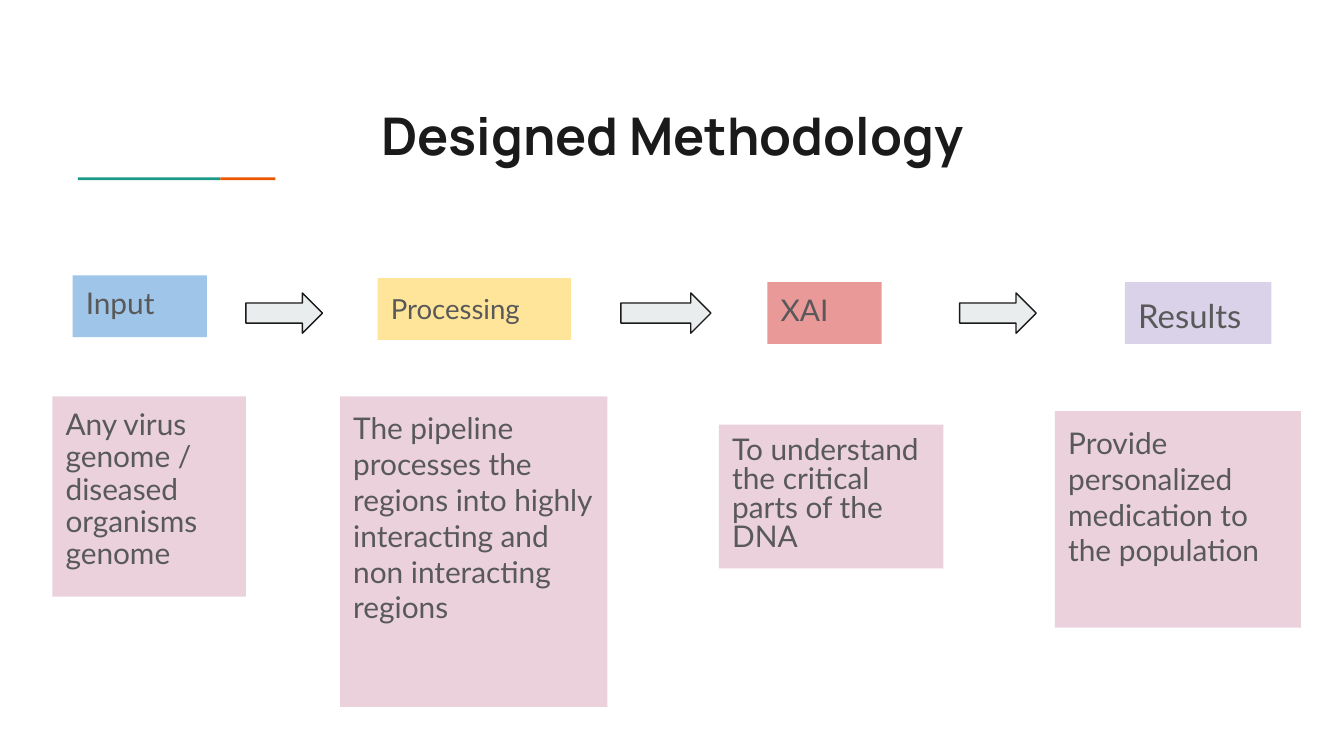
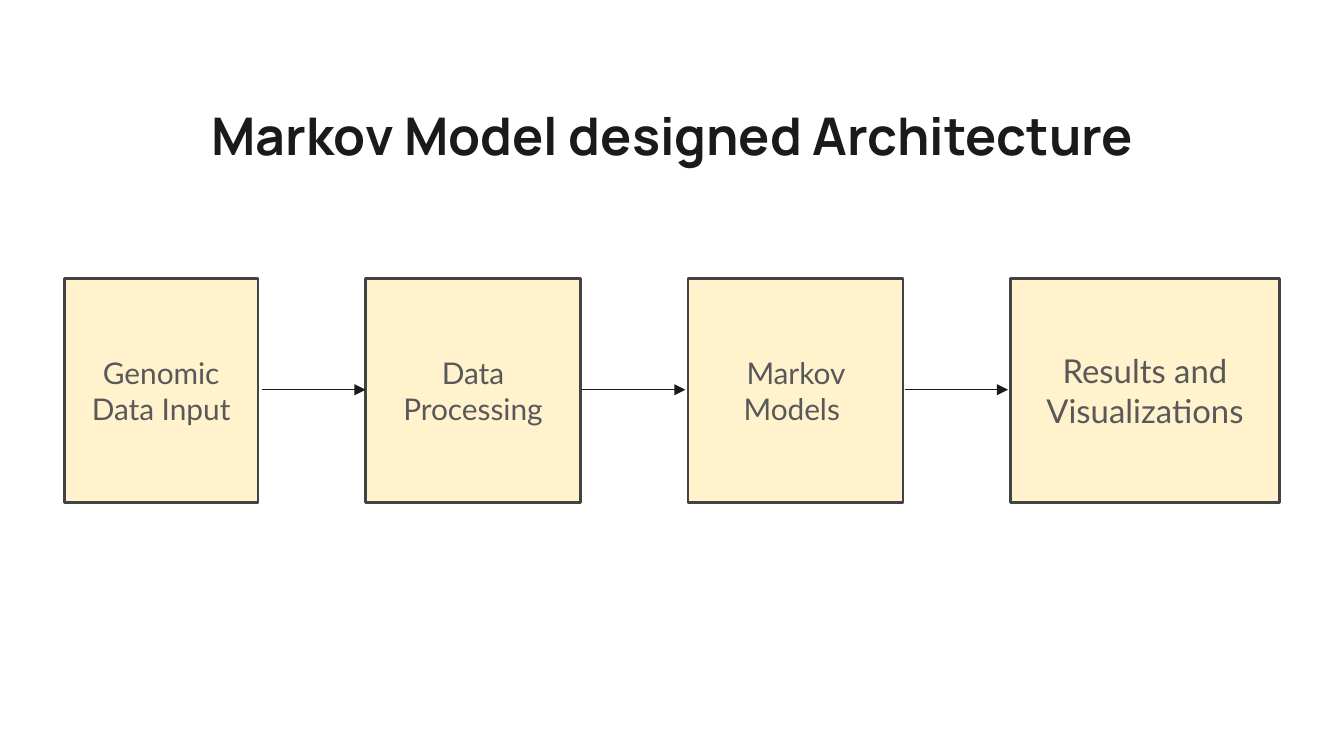
from lxml import etree
from pptx import Presentation
from pptx.dml.color import RGBColor
from pptx.enum.shapes import MSO_CONNECTOR, MSO_SHAPE
from pptx.enum.text import MSO_ANCHOR, MSO_AUTO_SIZE, PP_ALIGN
from pptx.oxml.ns import qn
from pptx.util import Inches, Pt

INK = "1A1A1A"
BODY = "595959"
TEAL = "1A9988"
ORANGE = "EB5600"
ARROW_FILL = "E9EDEE"
NOTE_FILL = "EAD1DC"
MODEL_FILL = "FFF2CC"
MODEL_LINE = "434343"
TITLE_FONT = "Manrope"
BODY_FONT = "Lato"
TITLE_LAYOUT = 5


def color(hex_value):
    return RGBColor.from_string(hex_value)


def write_text(shape, text, size=16, font=BODY_FONT, text_color=BODY, bold=False,
               align=PP_ALIGN.LEFT, anchor=MSO_ANCHOR.TOP, spacing=1.0):
    frame = shape.text_frame
    frame.word_wrap = True
    frame.auto_size = MSO_AUTO_SIZE.NONE
    frame.vertical_anchor = anchor
    frame.margin_left = frame.margin_right = Inches(0.1)
    frame.margin_top = frame.margin_bottom = Inches(0.1)
    paragraph = frame.paragraphs[0]
    paragraph.alignment = align
    paragraph.line_spacing = spacing
    run = paragraph.add_run()
    run.text = text
    run.font.name = font
    run.font.size = Pt(size)
    run.font.bold = bold
    run.font.color.rgb = color(text_color)


def add_block(slide, left, top, width, height, fill, line=None, line_width=0.75,
              kind=MSO_SHAPE.RECTANGLE):
    shape = slide.shapes.add_shape(
        kind, Inches(left), Inches(top), Inches(width), Inches(height))
    shape.shadow.inherit = False
    shape.fill.solid()
    shape.fill.fore_color.rgb = color(fill)
    if line:
        shape.line.color.rgb = color(line)
        shape.line.width = Pt(line_width)
    else:
        shape.line.fill.background()
    return shape


def add_line_arrow(slide, start, end, y):
    connector = slide.shapes.add_connector(
        MSO_CONNECTOR.STRAIGHT, Inches(start), Inches(y), Inches(end), Inches(y))
    connector.line.color.rgb = color(INK)
    connector.line.width = Pt(0.75)
    properties = connector._element.spPr
    etree.SubElement(properties.find(qn("a:ln")), qn("a:tailEnd"), type="triangle")
    etree.SubElement(properties, qn("a:effectLst"))


def add_titled_slide(presentation, text):
    slide = presentation.slides.add_slide(presentation.slide_layouts[TITLE_LAYOUT])
    title = slide.shapes.title
    title.left, title.top = Inches(0.8), Inches(0.67)
    title.width, title.height = Inches(8.41), Inches(0.73)
    write_text(title, text, size=27.8, font=TITLE_FONT, text_color=INK, bold=True,
               align=PP_ALIGN.CENTER)
    return slide


def add_methodology(presentation):
    slide = add_titled_slide(presentation, "Designed Methodology")
    for left, width, fill in ((0.58, 1.06, TEAL), (1.64, 0.41, ORANGE)):
        add_block(slide, left, 1.32, width, 0.02, fill)

    stages = [
        ("Input", (0.54, 2.05, 1.0), "9FC5E8", 16, 0.9),
        ("Processing", (2.81, 2.07, 1.44), "FFE599", 14.8, 1.0),
        ("XAI", (5.71, 2.1, 0.85), "EA9999", 16, 0.9),
        ("Results", (8.37, 2.1, 1.09), "D9D2E9", 17.6, 1.0),
    ]
    for text, (left, top, width), fill, size, spacing in stages:
        stage = add_block(slide, left, top, width, 0.46, fill)
        write_text(stage, text, size=size, spacing=spacing)

    for left, width in ((1.83, 0.57), (4.62, 0.67), (7.14, 0.57)):
        add_block(slide, left, 2.18, width, 0.3, ARROW_FILL, line=INK,
                  kind=MSO_SHAPE.RIGHT_ARROW)

    notes = [
        ("Any virus genome / diseased organisms genome", (0.39, 2.95, 1.44, 1.49), 0.9),
        ("The pipeline processes the regions into highly interacting and "
         "non interacting regions", (2.53, 2.95, 1.99, 2.31), 1.0),
        ("To understand the critical parts of the DNA", (5.35, 3.16, 1.67, 1.07), 0.8),
        ("Provide personalized medication to the population",
         (7.85, 3.06, 1.83, 1.61), 1.0),
    ]
    for text, box, spacing in notes:
        write_text(add_block(slide, *box, NOTE_FILL), text, spacing=spacing)


def add_architecture(presentation):
    slide = add_titled_slide(presentation, "Markov Model designed Architecture")
    steps = [
        ("Genomic Data Input", 1.44, 16),
        ("Data Processing", 1.6, 16),
        ("Markov Models ", 1.6, 16),
        ("Results and Visualizations", 2.0, 17.6),
    ]
    left, gap = 0.48, 0.8
    for text, width, size in steps:
        step = add_block(slide, left, 2.07, width, 1.67, MODEL_FILL,
                         line=MODEL_LINE, line_width=1.5)
        write_text(step, text, size=size, align=PP_ALIGN.CENTER,
                   anchor=MSO_ANCHOR.MIDDLE)
        left += width + gap

    for start in (1.95, 4.33, 6.73):
        add_line_arrow(slide, start, start + 0.77, 2.9)


def main():
    presentation = Presentation()
    presentation.slide_width = Inches(10)
    presentation.slide_height = Inches(10 * 9 / 16)
    add_methodology(presentation)
    add_architecture(presentation)
    presentation.save("out.pptx")


if __name__ == "__main__":
    main()
